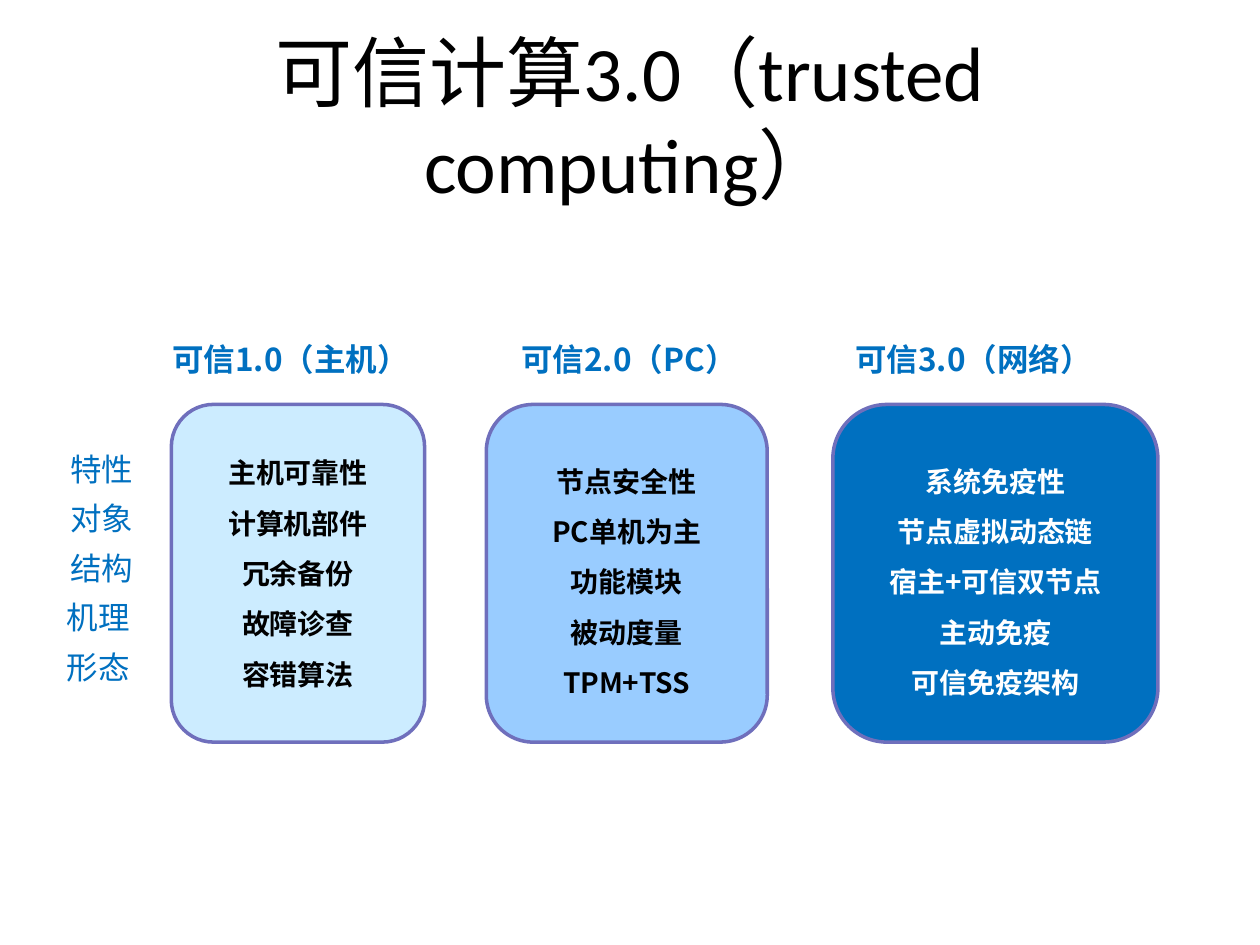
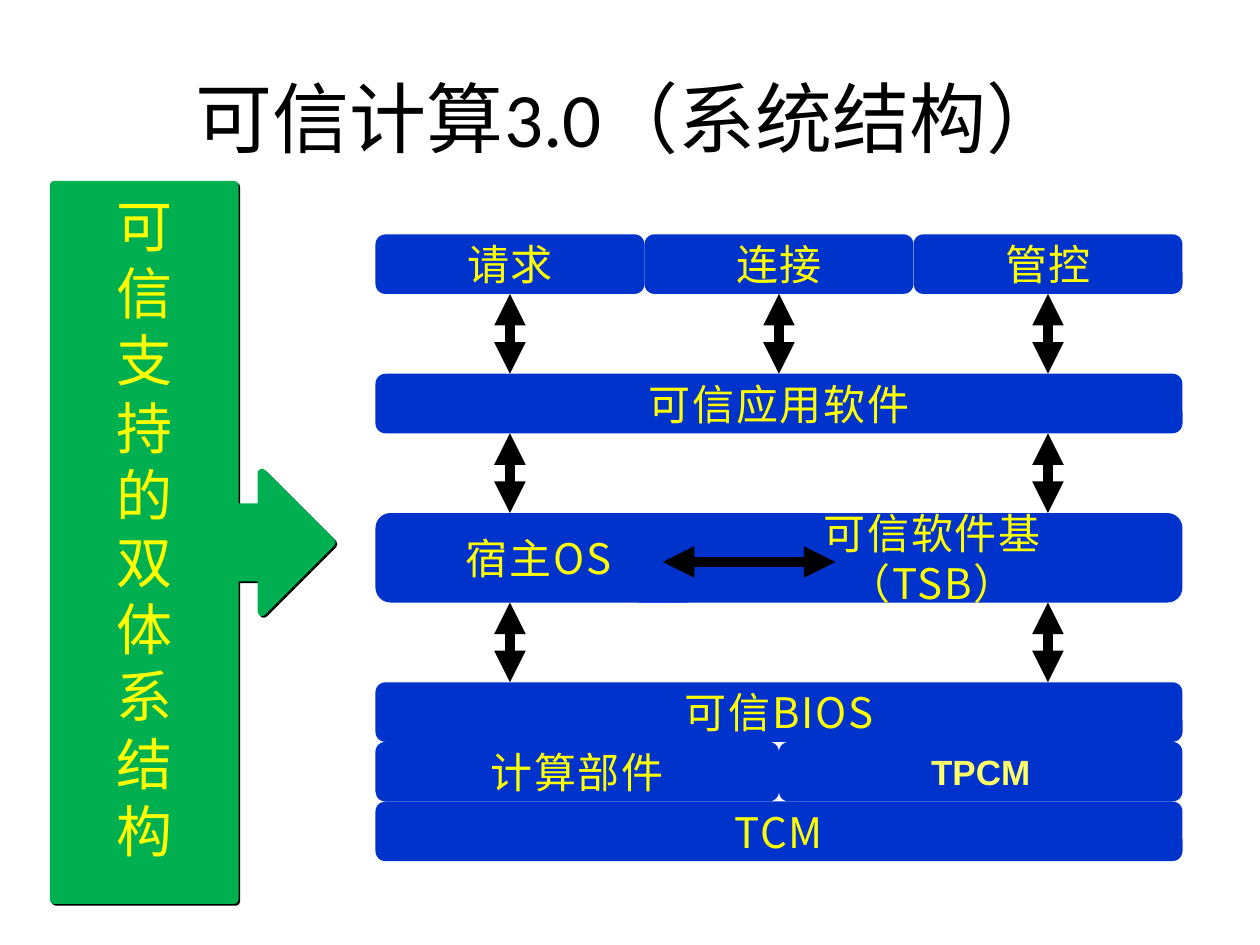
from lxml.etree import SubElement
from pptx import Presentation
from pptx.dml.color import RGBColor
from pptx.enum.shapes import MSO_CONNECTOR, MSO_SHAPE
from pptx.enum.text import MSO_ANCHOR, PP_ALIGN
from pptx.oxml.ns import qn
from pptx.util import Inches, Pt

COLUMNS, ROWS = 100, 75
CJK, LATIN, SANS = "Noto Sans CJK SC", "Calibri", "Arial"
BLACK = RGBColor(0x00, 0x00, 0x00)
WHITE = RGBColor(0xFF, 0xFF, 0xFF)
SKY = RGBColor(0xCC, 0xEC, 0xFF)
LIGHT_BLUE = RGBColor(0x99, 0xCC, 0xFF)
BLUE = RGBColor(0x00, 0x70, 0xC0)
VIOLET = RGBColor(0x6F, 0x6F, 0xBC)
ROYAL = RGBColor(0x00, 0x33, 0xCC)
GREEN = RGBColor(0x00, 0xB0, 0x50)
YELLOW = RGBColor(0xFF, 0xFF, 0x00)
PALE_YELLOW = RGBColor(0xFF, 0xFF, 0x66)


def write(frame, text, font=CJK, size=18, color=BLACK, bold=False, align=PP_ALIGN.CENTER,
          anchor=MSO_ANCHOR.MIDDLE, wrap=True, spacing=None, first_spacing=None, tracking=0):
    """Fill a text frame, one paragraph for each line of text."""
    frame.word_wrap = wrap
    frame.vertical_anchor = anchor
    for index, line in enumerate(text.split("\n")):
        paragraph = frame.add_paragraph() if index else frame.paragraphs[0]
        paragraph.alignment = align
        paragraph.line_spacing = spacing if index else first_spacing
        run = paragraph.add_run()
        run.text = line
        run.font.name, run.font.size, run.font.bold = font, Pt(size), bold
        run.font.color.rgb = color
        properties = run._r.get_or_add_rPr()
        if tracking:
            properties.set("spc", str(tracking * 100))
        if font == CJK:
            SubElement(properties, qn("a:ea"), typeface=CJK)


class Deck:
    """Hold the shared style and the slide being built."""

    def __init__(self):
        """Start an empty presentation with its grid."""
        self.presentation = Presentation()
        self.presentation.slide_width = Inches(10)
        self.presentation.slide_height = Inches(7.5)
        self.column = self.presentation.slide_width / COLUMNS
        self.row = self.presentation.slide_height / ROWS

    def cells(self, left, top, width, height):
        """Turn columns and rows into slide lengths."""
        return (round(left * self.column), round(top * self.row),
                round(width * self.column), round(height * self.row))

    def start(self, title):
        """Add a slide with the shared title style."""
        self.slide = self.presentation.slides.add_slide(self.presentation.slide_layouts[5])
        heading = self.slide.shapes.title
        heading.left, heading.top, heading.width, heading.height = self.cells(5, 3, 90, 12.5)
        write(heading.text_frame, title, font=LATIN, size=44)

    def label(self, text, left, top, width, **style):
        """Add a blue left-aligned caption."""
        caption = self.slide.shapes.add_textbox(*self.cells(left, top, width, 4))
        write(caption.text_frame, text, color=BLUE, align=PP_ALIGN.LEFT,
              anchor=MSO_ANCHOR.TOP, **style)

    def box(self, text, place, fill, outline=None, weight=2,
            kind=MSO_SHAPE.ROUNDED_RECTANGLE, **style):
        """Add a filled preset shape with text."""
        box = self.slide.shapes.add_shape(kind, *self.cells(*place))
        box.shadow.inherit = False
        box.fill.solid()
        box.fill.fore_color.rgb = fill
        if outline is None:
            box.line.fill.background()
        else:
            box.line.color.rgb = outline
            box.line.width = Pt(weight)
        write(box.text_frame, text, **style)
        return box

    def layer(self, text, place, **style):
        """Add one block of the architecture stack."""
        return self.box(text, place, ROYAL,
                        **{"size": 24, "color": YELLOW, "tracking": 1, **style})

    def arrow(self, left, top, right, bottom):
        """Add a thick black line with a head at both ends."""
        begin, end = self.cells(left, top, 0, 0)[:2], self.cells(right, bottom, 0, 0)[:2]
        arrow = self.slide.shapes.add_connector(MSO_CONNECTOR.STRAIGHT, *begin, *end)
        arrow.line.color.rgb = BLACK
        arrow.line.width = Pt(6)
        for head in ("a:headEnd", "a:tailEnd"):
            SubElement(arrow.line._get_or_add_ln(), qn(head), type="triangle")
        SubElement(arrow._element.spPr, qn("a:effectLst"))

    def callout(self, text, place):
        """Add the green arrow callout with its hard shadow."""
        callout = self.box(text, place, GREEN, GREEN, 5, MSO_SHAPE.RIGHT_ARROW_CALLOUT,
                           size=32, color=YELLOW, tracking=1, wrap=False,
                           anchor=MSO_ANCHOR.TOP)
        SubElement(callout.line._get_or_add_ln(), qn("a:round"))
        effects = callout._element.spPr.find(qn("a:effectLst"))
        shadow = SubElement(effects, qn("a:outerShdw"), blurRad="0",
                            dist=str(Pt(1.4)), dir="2700000", algn="ctr", rotWithShape="0")
        SubElement(shadow, qn("a:srgbClr"), val=str(BLACK))


def build_generations(deck):
    """Compare the three generations of trusted computing."""
    deck.start("可信计算3.0（trusted computing）")
    generations = [
        ("可信1.0（主机）", 12.7, 13.6, 20.1, SKY, BLACK, None,
         "主机可靠性\n计算机部件\n冗余备份\n故障诊查\n容错算法"),
        ("可信2.0（PC）", 40.4, 38.6, 22.3, LIGHT_BLUE, BLACK, 1.5,
         "节点安全性\nPC单机为主\n功能模块\n被动度量\nTPM+TSS"),
        ("可信3.0（网络）", 66.9, 66.1, 25.8, BLUE, WHITE, 1.5,
         "系统免疫性\n节点虚拟动态链\n宿主+可信双节点\n主动免疫\n可信免疫架构"),
    ]
    for name, name_left, left, width, fill, color, first_spacing, traits in generations:
        deck.box(traits, (left, 32.1, width, 26.8), fill, VIOLET, size=16, color=color,
                 bold=True, spacing=1.5, first_spacing=first_spacing)
        deck.label(name, name_left, 26.5, 26.4, bold=True)
    for index, aspect in enumerate(["特性", "对象", "结构", "机理", "形态"]):
        deck.label(aspect, 4.6 if index < 3 else 4.3, 35.2 + 3.93 * index, 10.7)


def build_architecture(deck):
    """Stack the layers of the dual architecture."""
    deck.start("可信计算3.0（系统结构）")
    left, width, thin, thick, gap = 29.8, 64.05, 4.73, 7.1, 6.33
    third, half = width / 3, width / 2
    lanes = [left + third * (index + 0.5) for index in range(3)]
    request_top = 18.6
    software_top = request_top + thin + gap
    system_top = software_top + thin + gap
    bios_top = system_top + thick + gap
    parts_top = bios_top + thin

    trusted_base = deck.layer("可信软件基\n（TSB）", (49.6, system_top, 44.25, thick))
    trusted_base.text_frame.margin_left = round(5.5 * deck.column)
    for index, action in enumerate(["请求", "连接", "管控"]):
        deck.layer(action, (left + third * index, request_top, third, thin))
    deck.layer("可信应用软件", (left, software_top, width, thin))
    deck.layer("宿主OS", (left, system_top, 25.9, thick))
    deck.layer("可信BIOS", (left, bios_top, width, thin))
    deck.layer("计算部件", (left, parts_top, half, thin))
    deck.layer("TPCM", (left + half, parts_top, half, thin), font=SANS, size=20,
               color=PALE_YELLOW, bold=True, tracking=0)
    deck.layer("TCM", (left, parts_top + thin, width, thin))

    for bottom, linked in [(software_top, lanes), (system_top, lanes[::2]),
                           (bios_top, lanes[::2])]:
        for lane in linked:
            deck.arrow(lane, bottom - gap, lane, bottom)
    deck.arrow(66.3, 44.6, 52.6, 44.6)
    deck.callout("\n".join("可信支持的双体系结构"), (4.3, 14.7, 22, 56.7))


def main():
    """Build both slides and save them."""
    deck = Deck()
    build_generations(deck)
    build_architecture(deck)
    deck.presentation.save("out.pptx")


if __name__ == "__main__":
    main()
